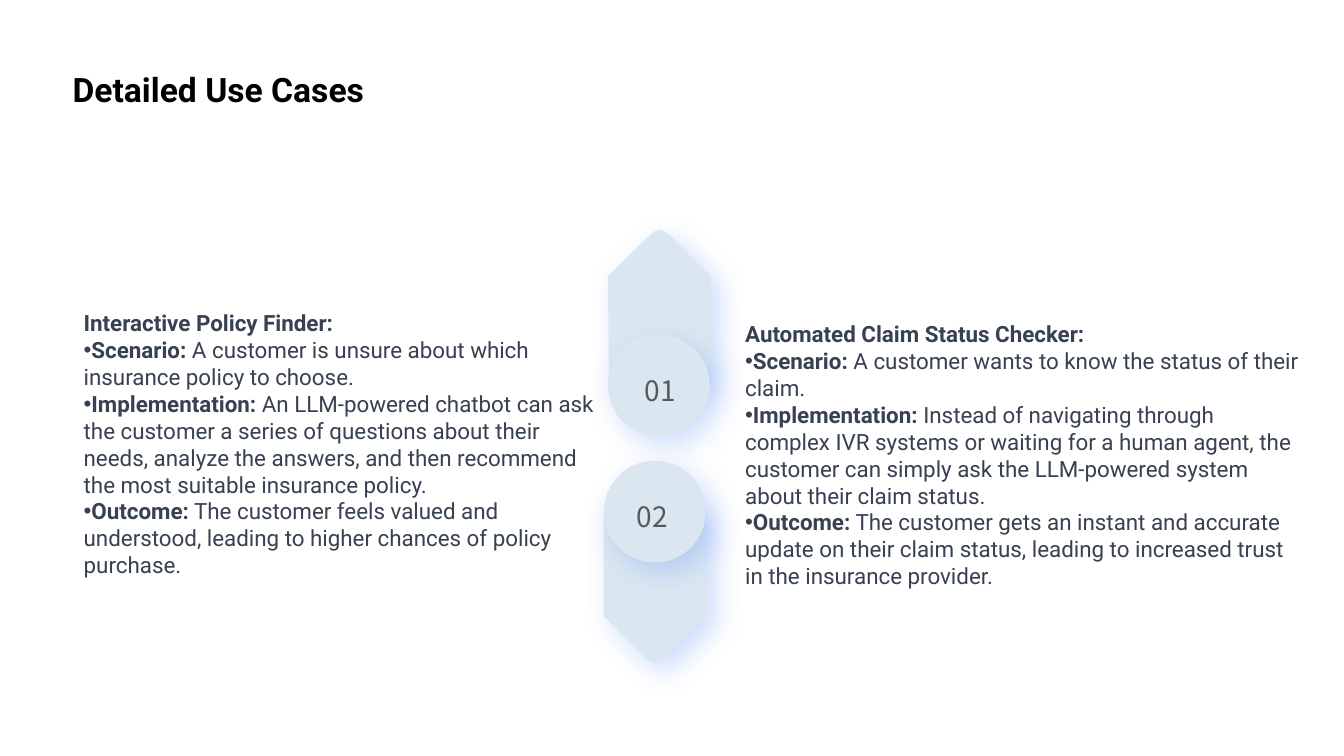
from lxml.etree import SubElement
from pptx import Presentation
from pptx.dml.color import RGBColor
from pptx.enum.shapes import MSO_SHAPE as Preset
from pptx.enum.text import MSO_ANCHOR as Anchor, MSO_AUTO_SIZE as AutoSize, PP_ALIGN as Align
from pptx.oxml import parse_xml
from pptx.oxml.ns import nsdecls, qn
from pptx.util import Pt

PX = 9144
THEME = {
    "panel": RGBColor.from_string("DBE7F0"),
    "shadow": "5E91F8",
    "title": {"name": "Roboto", "size": Pt(24), "bold": True, "color": RGBColor(0, 0, 0)},
    "label": {"name": "Roboto", "size": Pt(16), "bold": True, "color": RGBColor.from_string("374151")},
    "body": {"name": "Roboto", "size": Pt(16), "bold": False, "color": RGBColor.from_string("374151")},
    "number": {"name": "Noto Sans CJK SC", "size": Pt(20), "bold": False,
               "color": RGBColor.from_string("595959")},
}


def write(paragraph, text, style):
    run = paragraph.add_run()
    run.text = text
    for key, value in THEME[style].items():
        if key == "color":
            run.font.color.rgb = value
        else:
            setattr(run.font, key, value)


def soften(panel):
    panel.fill.solid()
    panel.fill.fore_color.rgb = THEME["panel"]
    panel.line.fill.background()
    panel.shadow.inherit = False
    effects = panel._element.spPr.find(qn("a:effectLst"))
    effects.append(parse_xml(
        f'<a:outerShdw {nsdecls("a")} blurRad="{Pt(20)}" dist="{Pt(9)}" dir="2700000" '
        f'algn="tl" rotWithShape="0"><a:srgbClr val="{THEME["shadow"]}">'
        '<a:alpha val="30000"/></a:srgbClr></a:outerShdw>'))


deck = Presentation()
deck.slide_width, deck.slide_height = 1333 * PX, 750 * PX
slide = deck.slides.add_slide(deck.slide_layouts[3])
heading, *case_bodies = slide.placeholders

for key, value in {"left": 62, "top": 58, "width": 373, "height": 61}.items():
    setattr(heading, key, value * PX)
heading.text_frame.vertical_anchor = Anchor.MIDDLE
heading.text_frame.auto_size = AutoSize.NONE
heading_line = heading.text_frame.paragraphs[0]
heading_line.alignment = Align.LEFT
write(heading_line, "Detailed Use Cases", "title")

cases = [
    ({"left": 73, "top": 302, "width": 531, "height": 252}, "Interactive Policy Finder:", [
        ("Scenario:", " A customer is unsure about which insurance policy to choose."),
        ("Implementation:", " An LLM-powered chatbot can ask the customer a series of questions about "
         "their needs, analyze the answers, and then recommend the most suitable insurance policy."),
        ("Outcome:", " The customer feels valued and understood, leading to higher chances of "
         "policy purchase."),
    ]),
    ({"left": 729, "top": 313, "width": 570, "height": 289}, "Automated Claim Status Checker:", [
        ("Scenario:", " A customer wants to know the status of their claim."),
        ("Implementation:", " Instead of navigating through complex IVR systems or waiting for a human "
         "agent, the customer can simply ask the LLM-powered system about their claim status."),
        ("Outcome:", " The customer gets an instant and accurate update on their claim status, "
         "leading to increased trust in the insurance provider."),
    ]),
]
for case_body, (box, case_name, points) in zip(case_bodies, cases):
    for key, value in box.items():
        setattr(case_body, key, value * PX)
    frame = case_body.text_frame
    frame.word_wrap = True
    frame.auto_size = AutoSize.SHAPE_TO_FIT_TEXT
    for index, (label, detail) in enumerate([(case_name, "")] + points):
        line = frame.add_paragraph() if index else frame.paragraphs[0]
        for key, value in {"space_before": Pt(0), "space_after": Pt(0), "alignment": Align.LEFT}.items():
            setattr(line, key, value)
        line_format = line._p.get_or_add_pPr()
        line_format.set("marL", "0")
        line_format.set("indent", "0")
        if detail:
            SubElement(line_format, qn("a:buChar")).set("char", "•")
        else:
            SubElement(line_format, qn("a:buNone"))
        write(line, label, "label")
        if detail:
            write(line, detail, "body")

tip_curve = [(643, 235), (651, 226), (656, 226), (666, 235)]
tip = []
for step in range(13):
    t = step / 12
    weights = ((1 - t) ** 3, 3 * t * (1 - t) ** 2, 3 * t * t * (1 - t), t ** 3)
    tip.append(tuple(sum(w * point[axis] for w, point in zip(weights, tip_curve)) for axis in (0, 1)))
ribbon_outline = [(603, 274), *tip, (705, 274), (705, 381), (604, 381)]

for shift_x, shift_y, turn in [(0, 0, 0), (-4, 276, 180)]:
    corners = [(round((x + shift_x) * PX), round((y + shift_y) * PX)) for x, y in ribbon_outline]
    builder = slide.shapes.build_freeform(*corners[0])
    builder.add_line_segments(corners[1:], close=True)
    ribbon = builder.convert_to_shape()
    ribbon.rotation = turn
    soften(ribbon)

for number, disc_x, disc_y, number_x, turn in [("01", 603, 332, 627, 0), ("02", 599, 457, 619, 180)]:
    badge = slide.shapes.add_group_shape()
    disc = badge.shapes.add_shape(Preset.OVAL, disc_x * PX, disc_y * PX, 101 * PX, 101 * PX)
    disc.rotation = turn
    soften(disc)
    caption = badge.shapes.add_textbox(number_x * PX, (disc_y + 34) * PX, 56 * PX, 44 * PX)
    caption.text_frame.word_wrap = True
    caption.text_frame.auto_size = AutoSize.SHAPE_TO_FIT_TEXT
    caption_line = caption.text_frame.paragraphs[0]
    caption_line.alignment = Align.CENTER
    write(caption_line, number, "number")

deck.save("out.pptx")
